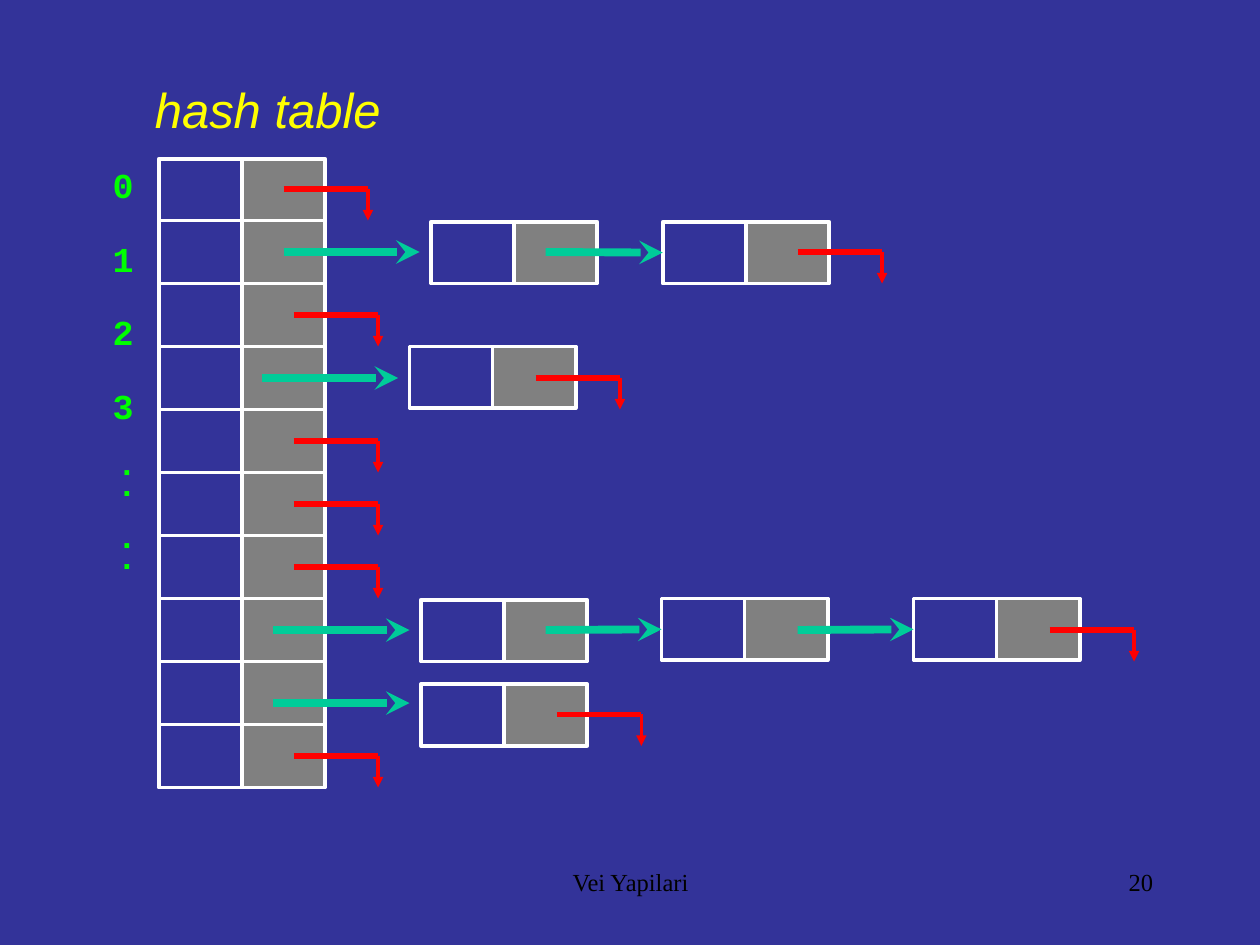
from lxml.etree import SubElement
from pptx import Presentation
from pptx.dml.color import RGBColor
from pptx.enum.shapes import MSO_CONNECTOR as Connector, MSO_SHAPE as Shape
from pptx.enum.text import MSO_ANCHOR as Anchor, MSO_AUTO_SIZE as AutoSize, PP_ALIGN as Align
from pptx.oxml.ns import qn
from pptx.util import Inches, Pt

COLORS = {"back": "333399", "title": "FFFF00", "index": "00FF00", "pointer": "808080",
          "border": "FFFFFF", "link": "00CC99", "null": "FF0000", "footer": "000000"}
TITLE = "hash table"
INDEXES = ["0", "1", "2", "3"]
DOTS = [":", ":"]
FOOTER = "Vei Yapilari"
PAGE_NUMBER = "20"

ROWS, ROW_HEIGHT = 10, 0.5
TABLE_LEFT, TABLE_TOP = 1.26, 1.25
NODE_WIDTH, POINTER_WIDTH = 1.32, 0.67
INDEX_STEP = 7 / 12

NODES = {"1a": (3.42, 1.75), "1b": (5.26, 1.75), "3a": (3.25, 2.74), "7a": (3.34, 4.75),
         "7b": (5.25, 4.74), "7c": (7.25, 4.74), "8a": (3.34, 5.42)}
BUCKET_LINKS = [(2.25, 2), (2.08, 3), (2.17, 5), (2.17, 5.58)]
BUCKET_LINK_LENGTH = 1.08
NODE_LINKS = [(4.33, 2, "1b"), (4.33, 5, "7b"), (6.33, 5, "7c")]
NULLS = [(2.25, 1.5), (6.33, 2), (2.33, 2.5), (4.25, 3), (2.33, 3.5), (2.33, 4),
         (2.33, 4.5), (8.33, 5), (4.42, 5.67), (2.33, 6)]
NULL_WIDTH, NULL_DROP = 0.67, 0.25


def rgb(name):
    return RGBColor.from_string(COLORS[name])


def add_rect(page, left, top, width, height, fill=None, line=None):
    rect = page.shapes.add_shape(Shape.RECTANGLE, Inches(left), Inches(top),
                                 Inches(width), Inches(height))
    rect.shadow.inherit = False
    if fill:
        rect.fill.solid()
        rect.fill.fore_color.rgb = rgb(fill)
    else:
        rect.fill.background()
    if line:
        rect.line.color.rgb = rgb(line)
        rect.line.width = Pt(2)
    else:
        rect.line.fill.background()
    return rect


def add_line(page, start, end, color, width, head=None):
    line = page.shapes.add_connector(Connector.STRAIGHT, *map(Inches, start + end))
    line.line.color.rgb = rgb(color)
    line.line.width = Pt(width)
    if head:
        SubElement(line.line._get_or_add_ln(), qn("a:tailEnd"), type=head)
    SubElement(line._element.spPr, qn("a:effectLst"))
    return line


def add_cells(page, left, top, height):
    middle = left + NODE_WIDTH / 2
    add_rect(page, middle, top, POINTER_WIDTH, height, fill="pointer")
    outline = add_rect(page, left, top + 0.01, NODE_WIDTH, height - 0.01, line="border")
    divider = add_line(page, (middle, top), (middle, top + height), "border", 2)
    divider.begin_connect(outline, 0)
    divider.end_connect(outline, 2)
    return outline


def write(box, text, align, font, size, color, bold=False, italic=False):
    frame = box.text_frame
    frame.text = text
    frame.word_wrap = True
    frame.auto_size = AutoSize.NONE
    frame.vertical_anchor = Anchor.TOP
    para = frame.paragraphs[0]
    para.alignment = align
    span = para.runs[0].font
    span.name, span.size = font, Pt(size)
    span.bold, span.italic = bold, italic
    span.color.rgb = rgb(color)


def add_text(page, left, top, width, height, *style, **options):
    box = page.shapes.add_textbox(*map(Inches, (left, top, width, height)))
    write(box, *style, **options)


def main():
    deck = Presentation()
    deck.slide_width, deck.slide_height = Inches(10), Inches(7.5)
    page = deck.slides.add_slide(deck.slide_layouts[5])
    page.background.fill.solid()
    page.background.fill.fore_color.rgb = rgb("back")

    title = page.shapes.title
    title.left, title.top, title.width, title.height = map(Inches, (1, 0.58, 2.25, 0.57))
    write(title, TITLE, Align.CENTER, "Arial", 28, "title", italic=True)

    add_cells(page, TABLE_LEFT, TABLE_TOP, ROWS * ROW_HEIGHT)
    for row in range(1, ROWS):
        y = TABLE_TOP + row * ROW_HEIGHT
        add_line(page, (TABLE_LEFT, y), (TABLE_LEFT + NODE_WIDTH, y), "border", 2)

    for i, text in enumerate(INDEXES):
        add_text(page, 0.33, TABLE_TOP + i * INDEX_STEP, 0.83, 0.44,
                 text, Align.RIGHT, "Courier New", 20, "index", bold=True)
    for i, text in enumerate(DOTS):
        add_text(page, 0.33, 3.5 + i * INDEX_STEP, 0.83, 0.57,
                 text, Align.RIGHT, "Arial", 28, "index")

    outlines = {name: add_cells(page, left, top, ROW_HEIGHT)
                for name, (left, top) in NODES.items()}
    for x, y in BUCKET_LINKS:
        add_line(page, (x, y), (x + BUCKET_LINK_LENGTH, y), "link", 4.5, "stealth")
    for x, y, target in NODE_LINKS:
        link = add_line(page, (x, y), (NODES[target][0], y), "link", 4.5, "stealth")
        link.end_connect(outlines[target], 1)
    for x, y in NULLS:
        corner = (x + NULL_WIDTH, y)
        add_line(page, (x, y), corner, "null", 3)
        add_line(page, corner, (corner[0], y + NULL_DROP), "null", 2, "triangle")

    add_text(page, 3.42, 6.83, 3.17, 0.5, FOOTER, Align.CENTER, "Times New Roman", 14, "footer")
    add_text(page, 7.17, 6.83, 2.08, 0.5, PAGE_NUMBER, Align.RIGHT, "Times New Roman", 14, "footer")
    deck.save("out.pptx")


if __name__ == "__main__":
    main()
